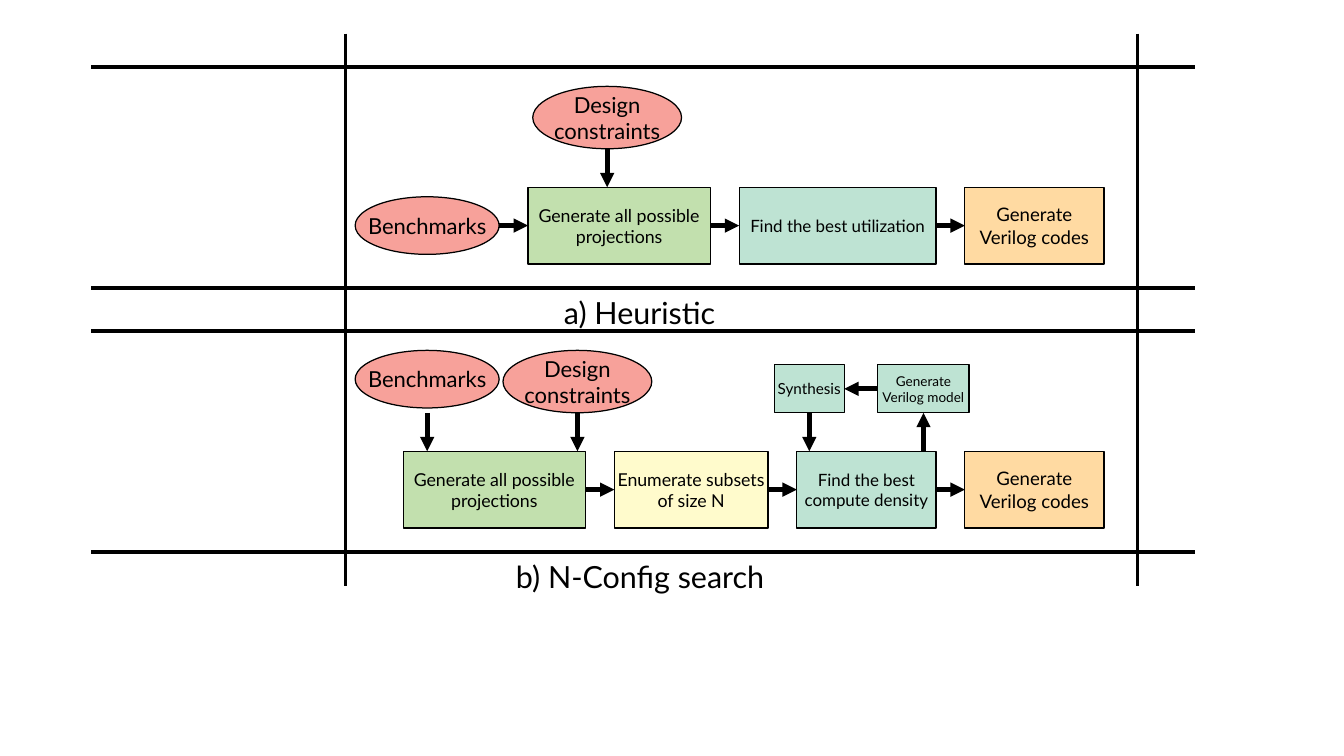
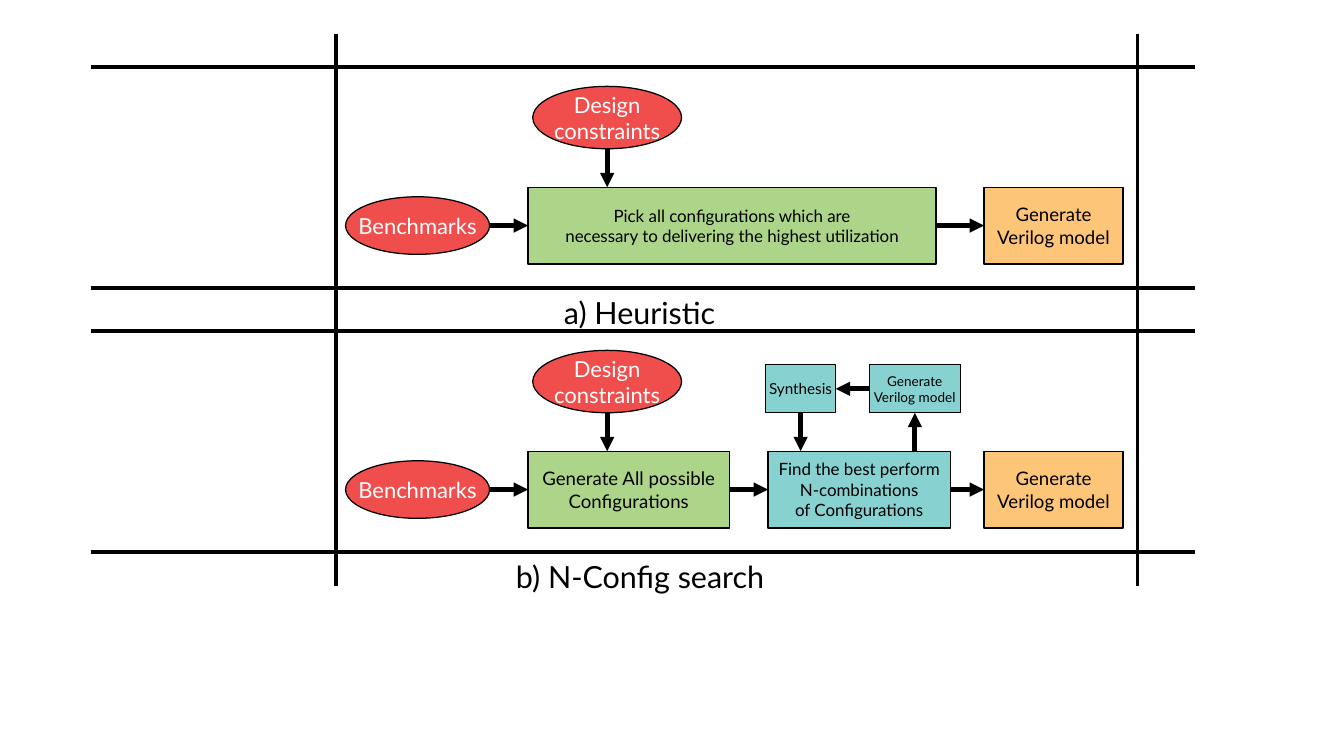
from dataclasses import dataclass

from lxml import etree
from pptx import Presentation
from pptx.dml.color import RGBColor
from pptx.enum.shapes import MSO_CONNECTOR, MSO_SHAPE
from pptx.enum.text import MSO_ANCHOR, PP_ALIGN
from pptx.oxml.ns import qn
from pptx.util import Cm, Pt

STRAIGHT = MSO_CONNECTOR.STRAIGHT
RECTANGLE, OVAL = MSO_SHAPE.RECTANGLE, MSO_SHAPE.OVAL
CENTER, MIDDLE = PP_ALIGN.CENTER, MSO_ANCHOR.MIDDLE
LEFT_SITE, BOTTOM_SITE, RIGHT_SITE = 1, 2, 3


@dataclass(frozen=True)
class Theme:
    input_fill: str
    input_text: str
    generate: str
    search: str
    output: str
    enumerate: str = "FFFBCC"
    ink: str = "000000"
    font: str = "Lato"
    caption_size: float = 18
    input_size: float = 13
    output_size: float = 11
    generate_size: float = 10.5
    search_size: float = 10
    synthesis_size: float = 9
    model_size: float = 8
    hairline: float = 0
    arrow_width: float = 2.83


@dataclass(frozen=True)
class Step:
    """A box in the flow; left is measured from the panel."""
    text: str
    left: float
    width: float
    fill: str
    size: float


@dataclass(frozen=True)
class Panel:
    """One flow; benchmarks_above puts that input over the first step."""
    caption: str
    caption_left: float
    benchmarks_left: float
    constraints_left: float
    steps: tuple
    benchmarks_above: bool = False
    loop_left: float | None = None


PASTEL = Theme("F7A19A", "000000", "C2E0AE", "BEE3D3", "FFDAA2")
VIVID = Theme("F04E4D", "FFFFFF", "ADD58A", "87D1D1", "FDC578")

PANEL_LEFT = 7.0
PANEL_TOPS = (1.4, 6.9)
PANEL_HEIGHT = 4.6
GUIDE_X, GUIDE_Y = (1.9, 24.9), (0.7, 12.2)
RIGHT_GUIDE = 23.7
STEP_TOP, STEP_HEIGHT = 2.5, 1.6
INPUT_TOP, INPUT_BOTTOM = 0.4, 1.7
BENCHMARKS_SIZE, CONSTRAINTS_SIZE = (3.0, 1.2), (3.1, 1.3)
LOOP_TOP, LOOP_HEIGHT, LOOP_GAP = 0.7, 1.0, 0.7
SYNTHESIS_WIDTH, MODEL_WIDTH = 1.46, 1.9


def format_text(shape, text, theme, size, color, alignment=None):
    text_frame = shape.text_frame
    text_frame.text = text
    for paragraph in text_frame.paragraphs:
        paragraph.alignment = alignment
        for run in paragraph.runs:
            run.font.name = theme.font
            run.font.size = Pt(size)
            run.font.color.rgb = RGBColor.from_string(color)


def add_node(slide, kind, box, text, theme, fill, size, color):
    shape = slide.shapes.add_shape(kind, *(Cm(length) for length in box))
    shape.shadow.inherit = False
    shape.fill.solid()
    shape.fill.fore_color.rgb = RGBColor.from_string(fill)
    shape.line.color.rgb = RGBColor.from_string(theme.ink)
    shape.line.width = Pt(theme.hairline)
    shape.text_frame.word_wrap = False
    shape.text_frame.vertical_anchor = MIDDLE
    format_text(shape, text, theme, size, color, CENTER)
    return shape


def add_line(slide, start, end, theme, width):
    ends = (Cm(length) for length in (*start, *end))
    connector = slide.shapes.add_connector(STRAIGHT, *ends)
    connector.line.color.rgb = RGBColor.from_string(theme.ink)
    connector.line.width = Pt(width)
    etree.SubElement(connector.element.spPr, qn("a:effectLst"))
    return connector


def add_arrow(slide, start, end, theme, source=None, target=None):
    """Draw an arrow; source and target are (shape, site) to attach to."""
    connector = add_line(slide, start, end, theme, theme.arrow_width)
    line = connector.element.spPr.find(qn("a:ln"))
    etree.SubElement(line, qn("a:tailEnd"), type="triangle")
    if source:
        connector.begin_connect(*source)
    if target:
        connector.end_connect(*target)


def add_guides(slide, left_guide, theme):
    for x in (left_guide, RIGHT_GUIDE):
        add_line(slide, (x, GUIDE_Y[0]), (x, GUIDE_Y[1]), theme, theme.hairline)
    for top in PANEL_TOPS:
        for y in (top, top + PANEL_HEIGHT):
            add_line(slide, (GUIDE_X[0], y), (GUIDE_X[1], y), theme, theme.hairline)


def add_caption(slide, left, top, text, theme):
    caption = slide.shapes.add_textbox(Cm(left), Cm(top), Cm(6.2), Cm(1.1))
    caption.text_frame.word_wrap = True
    format_text(caption, text, theme, theme.caption_size, theme.ink)


def add_steps(slide, left, top, steps, theme):
    """Draw the boxes in a row with an arrow from each to the next."""
    middle = top + STEP_HEIGHT / 2
    shapes = [
        add_node(slide, RECTANGLE, (left + step.left, top, step.width, STEP_HEIGHT),
                 step.text, theme, step.fill, step.size, theme.ink)
        for step in steps
    ]
    for index in range(len(steps) - 1):
        step, following = steps[index:index + 2]
        add_arrow(slide, (left + step.left + step.width, middle),
                  (left + following.left, middle), theme,
                  (shapes[index], RIGHT_SITE), (shapes[index + 1], LEFT_SITE))
    return shapes


def add_inputs(slide, left, top, panel, first_step, theme):
    step_top = top + STEP_TOP

    def add_input(text, x, y, size):
        add_node(slide, OVAL, (x, y, *size), text, theme,
                 theme.input_fill, theme.input_size, theme.input_text)

    def add_drop(x, width):
        center = x + width / 2
        add_arrow(slide, (center, top + INPUT_BOTTOM), (center, step_top), theme)

    constraints_x = left + panel.constraints_left
    add_input("Design\nconstraints", constraints_x, top + INPUT_TOP, CONSTRAINTS_SIZE)
    add_drop(constraints_x, CONSTRAINTS_SIZE[0])

    x = left + panel.benchmarks_left
    width, height = BENCHMARKS_SIZE
    middle = step_top + STEP_HEIGHT / 2
    y = top + INPUT_TOP if panel.benchmarks_above else middle - height / 2
    add_input("Benchmarks", x, y, BENCHMARKS_SIZE)
    if panel.benchmarks_above:
        add_drop(x, width)
    else:
        add_arrow(slide, (x + width, middle), (left + panel.steps[0].left, middle),
                  theme, target=(first_step, LEFT_SITE))


def add_synthesis_loop(slide, left, top, step_top, theme):
    """Draw the two boxes that feed back into the search step below."""
    model_left = left + SYNTHESIS_WIDTH + LOOP_GAP
    middle, bottom = top + LOOP_HEIGHT / 2, top + LOOP_HEIGHT
    synthesis = add_node(slide, RECTANGLE, (left, top, SYNTHESIS_WIDTH, LOOP_HEIGHT),
                         "Synthesis", theme, theme.search, theme.synthesis_size, theme.ink)
    model = add_node(slide, RECTANGLE, (model_left, top, MODEL_WIDTH, LOOP_HEIGHT),
                     "Generate\nVerilog model", theme, theme.search,
                     theme.model_size, theme.ink)
    synthesis_x = left + SYNTHESIS_WIDTH / 2
    model_x = model_left + MODEL_WIDTH / 2
    add_arrow(slide, (synthesis_x, bottom), (synthesis_x, step_top), theme,
              source=(synthesis, BOTTOM_SITE))
    add_arrow(slide, (model_x, step_top), (model_x, bottom), theme,
              target=(model, BOTTOM_SITE))
    add_arrow(slide, (model_left, middle), (left + SYNTHESIS_WIDTH, middle), theme,
              (model, LEFT_SITE), (synthesis, RIGHT_SITE))


def add_panel(slide, left, top, panel, theme):
    step_top = top + STEP_TOP
    shapes = add_steps(slide, left, step_top, panel.steps, theme)
    add_inputs(slide, left, top, panel, shapes[0], theme)
    if panel.loop_left is not None:
        add_synthesis_loop(slide, left + panel.loop_left, top + LOOP_TOP, step_top, theme)
    add_caption(slide, left + panel.caption_left, top + PANEL_HEIGHT, panel.caption, theme)


def add_flow_slide(presentation, left_guide, panels, theme):
    slide = presentation.slides.add_slide(presentation.slide_layouts[6])
    add_guides(slide, left_guide, theme)
    for top, panel in zip(PANEL_TOPS, panels):
        add_panel(slide, PANEL_LEFT, top, panel, theme)


def projection_panels(theme):
    def generate(left):
        return Step("Generate all possible\nprojections", left, 3.8,
                    theme.generate, theme.generate_size)

    output = Step("Generate\nVerilog codes", 13.1, 2.9, theme.output, theme.output_size)
    return (
        Panel("a) Heuristic", 4.5, 0.4, 4.1, (
            generate(4.0),
            Step("Find the best utilization", 8.4, 4.1, theme.search, theme.search_size),
            output,
        )),
        Panel("b) N-Config search", 3.5, 0.4, 3.48, (
            generate(1.4),
            Step("Enumerate subsets\nof size N", 5.8, 3.2,
                 theme.enumerate, theme.generate_size),
            Step("Find the best\ncompute density", 9.6, 2.9,
                 theme.search, theme.search_size),
            output,
        ), benchmarks_above=True, loop_left=9.13),
    )


def configuration_panels(theme):
    output = Step("Generate\nVerilog model", 13.5, 2.9, theme.output, theme.output_size)
    return (
        Panel("a) Heuristic", 4.5, 0.2, 4.1, (
            Step("Pick all configurations which are\n"
                 "necessary to delivering the highest utilization",
                 4.0, 8.5, theme.generate, theme.search_size),
            output,
        )),
        Panel("b) N-Config search", 3.5, 0.2, 4.1, (
            Step("Generate All possible\nConfigurations", 4.0, 4.2,
                 theme.generate, theme.output_size),
            Step("Find the best perform\nN-combinations\nof Configurations", 9.0, 3.8,
                 theme.search, theme.search_size),
            output,
        ), loop_left=8.95),
    )


def main():
    presentation = Presentation()
    presentation.slide_width, presentation.slide_height = Cm(28), Cm(15.75)
    add_flow_slide(presentation, 7.2, projection_panels(PASTEL), PASTEL)
    add_flow_slide(presentation, 7.0, configuration_panels(VIVID), VIVID)
    presentation.save("out.pptx")


if __name__ == "__main__":
    main()
